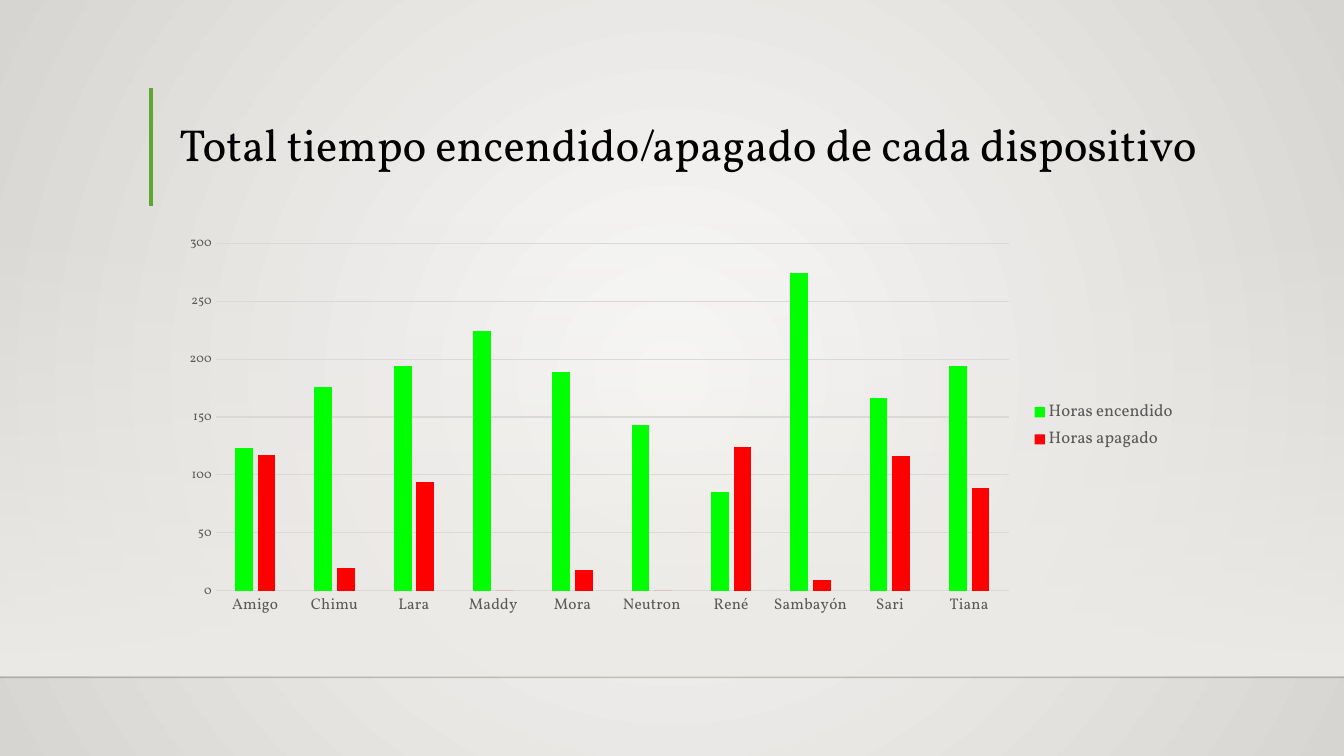
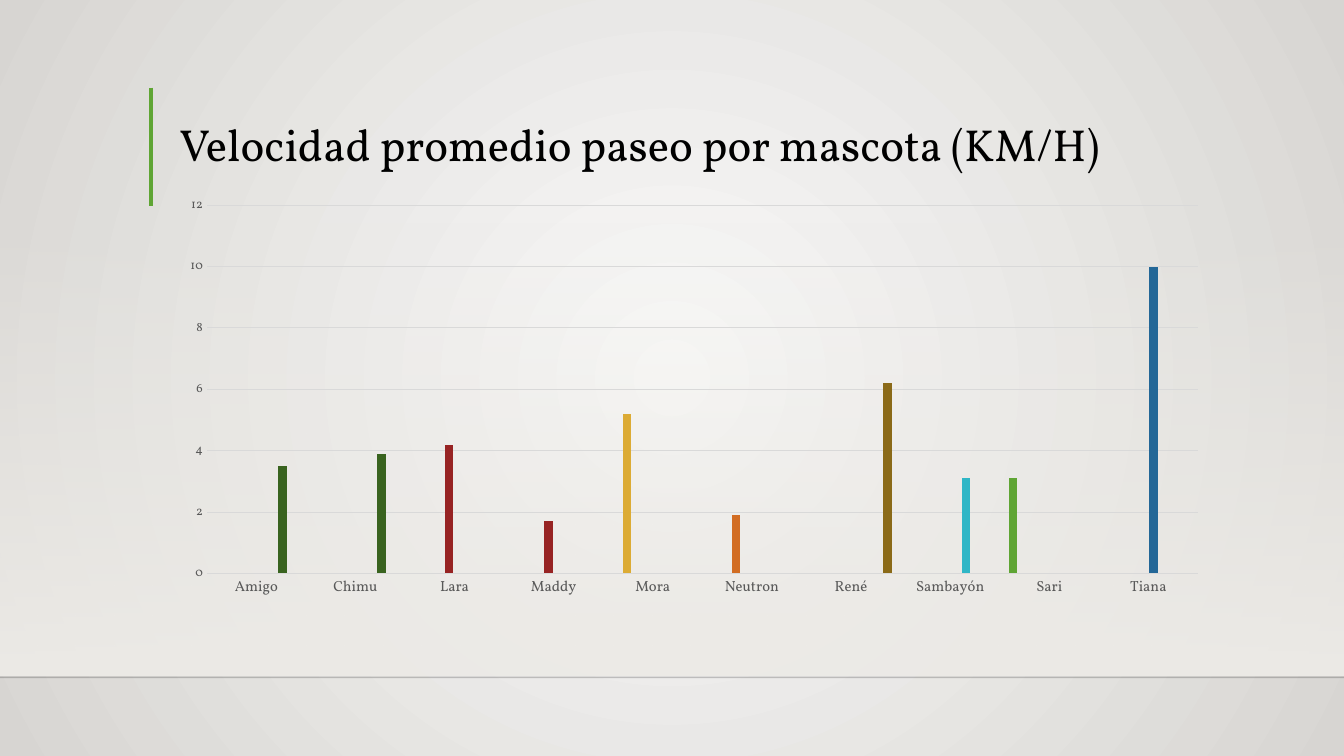
from dataclasses import dataclass

from lxml.etree import SubElement
from pptx import Presentation
from pptx.chart.data import CategoryChartData
from pptx.dml.color import RGBColor
from pptx.enum.chart import XL_CHART_TYPE, XL_LEGEND_POSITION, XL_TICK_MARK
from pptx.enum.shapes import MSO_CONNECTOR, MSO_SHAPE
from pptx.enum.text import MSO_ANCHOR, MSO_AUTO_SIZE, PP_ALIGN
from pptx.oxml import parse_xml
from pptx.oxml.ns import nsdecls, qn
from pptx.util import Inches, Pt


@dataclass(frozen=True)
class Theme:
    """Colours, typeface and type sizes of the deck."""
    font: str = "Vollkorn"
    ink: str = "000000"
    label: str = "595959"
    grid: str = "D9D9D9"
    accent: str = "5FA534"
    floor: str = "000001"
    band: str = "EDEBE7"
    centre: str = "FAFAF9"
    edge: str = "D7D5D2"
    on: str = "00FF00"
    off: str = "FF0000"
    title_size: float = 32
    legend_size: float = 12
    chart_size: float = 10
    value_size: float = 9


THEME = Theme()
RADIAL = '<a:path path="circle"><a:fillToRect l="50000" t="50000" r="50000" b="50000"/></a:path>'
DOWNWARD = '<a:lin ang="5400000" scaled="0"/>'
PETS = ["Amigo", "Chimu", "Lara", "Maddy", "Mora", "Neutron", "René", "Sambayón", "Sari", "Tiana"]
HOURS = [
    ("Horas encendido", THEME.on, [123, 176, 194, 224, 189, 143, 85, 274, 166, 194]),
    ("Horas apagado", THEME.off, [117, 20, 94, 0, 18, 0, 124, 9, 116, 89]),
]
SPEEDS = [
    (THEME.accent, {"Sari": 3.1}),
    ("DCAB34", {"Mora": 5.2}),
    ("D26D23", {"Neutron": 1.9}),
    ("972323", {"Lara": 4.2, "Maddy": 1.7}),
    ("236797", {"Tiana": 10}),
    ("2FB6C6", {"Sambayón": 3.1}),
    ("39631F", {"Amigo": 3.5, "Chimu": 3.9}),
    ("8B6A18", {"René": 6.2}),
]


def assign(target, values):
    """Set every named attribute of the target."""
    for name, value in values.items():
        setattr(target, name, value)


def style_font(font, size, colour):
    """Give a font the deck's typeface, a size and a colour."""
    assign(font, {"name": THEME.font, "size": Pt(size), "bold": False})
    font.color.rgb = RGBColor.from_string(colour)


def style_line(line, colour, width):
    """Give a line a solid colour and a width."""
    line.color.rgb = RGBColor.from_string(colour)
    line.width = Pt(width)


def fill_gradient(fill, element, stops, direction):
    """Fill with stops of position, colour and opacity in percent."""
    fill.gradient()
    marks = "".join(
        f'<a:gs pos="{position * 1000}"><a:srgbClr val="{colour}">'
        f'<a:alpha val="{opacity * 1000}"/></a:srgbClr></a:gs>'
        for position, colour, opacity in stops)
    gradient = element.xpath(".//a:gradFill")[0]
    gradient.getparent().replace(gradient, parse_xml(
        f'<a:gradFill {nsdecls("a")} rotWithShape="1"><a:gsLst>{marks}</a:gsLst>{direction}</a:gradFill>'))


def add_rule(page, start, end, colour, width, opacity=100):
    """Draw a straight line without a shadow."""
    rule = page.shapes.add_connector(MSO_CONNECTOR.STRAIGHT, *start, *end)
    style_line(rule.line, colour, width)
    tint = rule.element.spPr.xpath(".//a:srgbClr")[0]
    SubElement(tint, qn("a:alpha"), val=str(opacity * 1000))
    SubElement(rule.element.spPr, qn("a:effectLst"))
    return rule


def decorate_layout(layout, page, width):
    """Draw the shared background, band and rules and move them to the layout."""
    fill_gradient(layout.background.fill, layout.element,
                  [(0, THEME.centre, 100), (100, THEME.edge, 100)], RADIAL)
    band = page.shapes.add_shape(MSO_SHAPE.RECTANGLE, 0, Inches(2.2), width, Inches(4.5))
    band.shadow.inherit = False
    band.line.fill.background()
    fill_gradient(band.fill, band.element, [(0, THEME.band, 0), (100, THEME.band, 100)], DOWNWARD)
    floor = add_rule(page, (0, Inches(6.72)), (width, Inches(6.72)), THEME.floor, 1, 20)
    accent = add_rule(page, (Inches(1.5), Inches(0.87)), (Inches(1.5), Inches(2.04)), THEME.accent, 3)
    for number, shape in enumerate((band, floor, accent), start=101):
        shape.element.xpath(".//p:cNvPr")[0].set("id", str(number))
        layout.shapes.element.append(shape.element)


def set_title(page, text):
    """Place, fill and format the title."""
    title = page.shapes.title
    assign(title, {"left": Inches(1.68), "top": Inches(0.6),
                   "width": Inches(10.41), "height": Inches(1.15)})
    frame = title.text_frame
    frame.text = text
    assign(frame, {"word_wrap": True, "vertical_anchor": MSO_ANCHOR.BOTTOM,
                   "auto_size": MSO_AUTO_SIZE.NONE})
    para = frame.paragraphs[0]
    assign(para, {"alignment": PP_ALIGN.LEFT, "line_spacing": 0.9})
    style_font(para.runs[0].font, THEME.title_size, THEME.ink)


def style_axis(axis, size):
    """Remove tick marks and format the labels of an axis."""
    assign(axis, {"major_tick_mark": XL_TICK_MARK.NONE, "minor_tick_mark": XL_TICK_MARK.NONE})
    style_font(axis.tick_labels.font, size, THEME.label)


def add_columns(page, place, series, category_size, top, step):
    """Add a clustered column chart of the pets."""
    data = CategoryChartData()
    data.categories = PETS
    for name, _, values in series:
        data.add_series(name, values)
    chart = page.shapes.add_chart(
        XL_CHART_TYPE.COLUMN_CLUSTERED, *map(Inches, place), data).chart
    assign(chart, {"has_title": False, "has_legend": False})
    style_font(chart.font, THEME.chart_size, THEME.ink)
    plot = chart.plots[0]
    assign(plot, {"gap_width": 219, "overlap": -27, "vary_by_categories": False})
    for column, (_, colour, _) in zip(plot.series, series):
        column.format.fill.solid()
        column.format.fill.fore_color.rgb = RGBColor.from_string(colour)
    style_axis(chart.category_axis, category_size)
    style_line(chart.category_axis.format.line, THEME.grid, 0.75)
    axis = chart.value_axis
    style_axis(axis, THEME.value_size)
    assign(axis, {"minimum_scale": 0, "maximum_scale": top, "major_unit": step})
    axis.format.line.fill.background()
    style_line(axis.major_gridlines.format.line, THEME.grid, 0.75)
    return chart


def add_legend(chart):
    """Show the legend to the right of the plot."""
    chart.has_legend = True
    assign(chart.legend, {"position": XL_LEGEND_POSITION.RIGHT, "include_in_layout": False})
    style_font(chart.legend.font, THEME.legend_size, THEME.label)


def main():
    """Build and save the deck."""
    deck = Presentation()
    assign(deck, {"slide_width": Inches(13.33), "slide_height": Inches(7.5)})
    layout = deck.slide_layouts[5]
    hours_page, speed_page = (deck.slides.add_slide(layout) for _ in range(2))
    decorate_layout(layout, hours_page, deck.slide_width)

    set_title(hours_page, "Total tiempo encendido/apagado de cada dispositivo")
    add_legend(add_columns(hours_page, (1.68, 2.25, 10.09, 3.95), HOURS, 11, 300, 50))

    set_title(speed_page, "Velocidad promedio paseo por mascota (KM/H)")
    speeds = [(f"Series {number}", colour, [values.get(pet) for pet in PETS])
              for number, (colour, values) in enumerate(SPEEDS, start=1)]
    add_columns(speed_page, (1.68, 1.87, 10.41, 4.14), speeds, 10.5, 12, 2)
    deck.save("out.pptx")


main()
